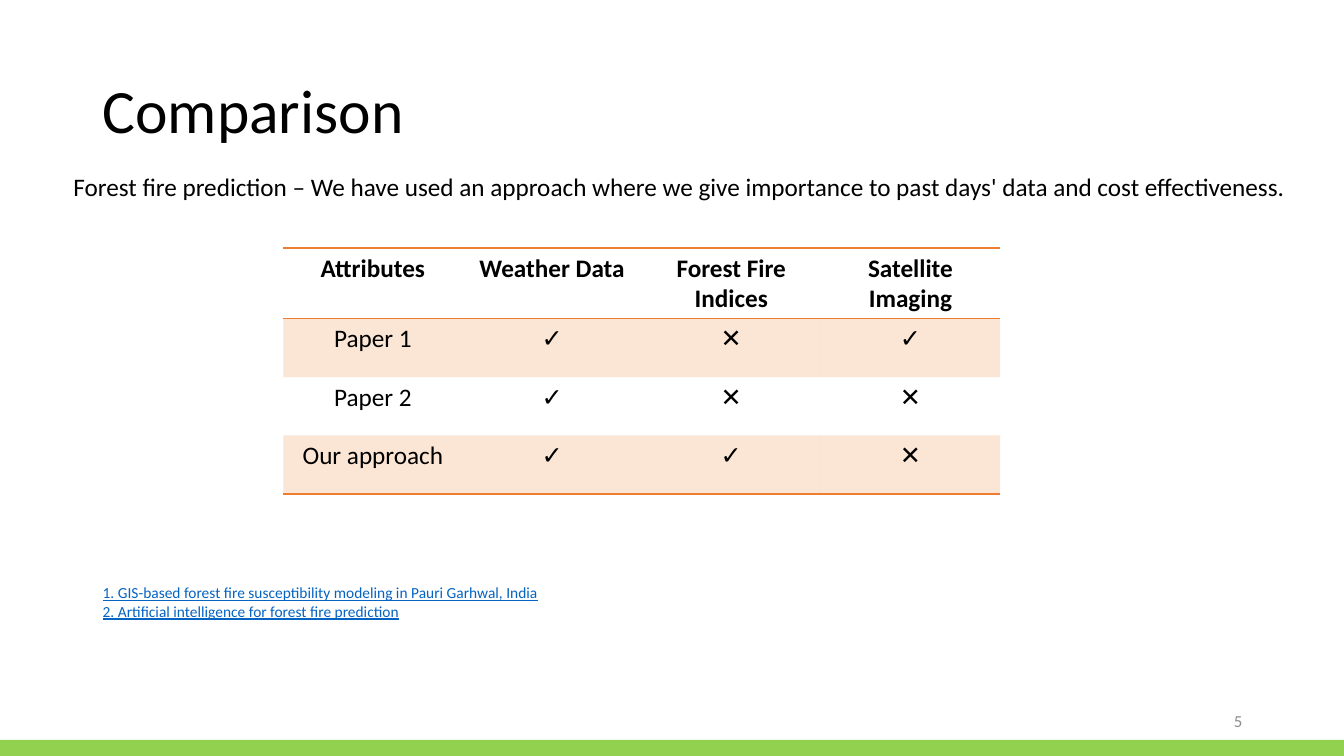
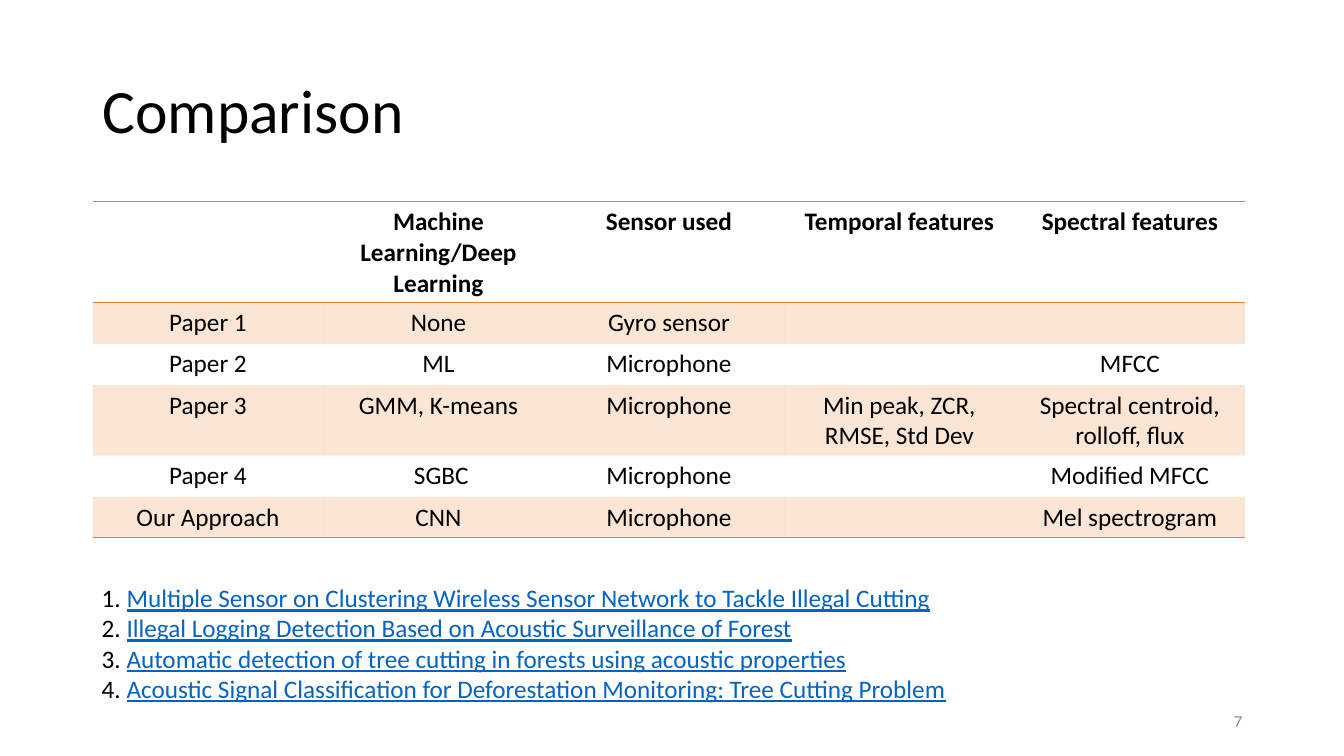
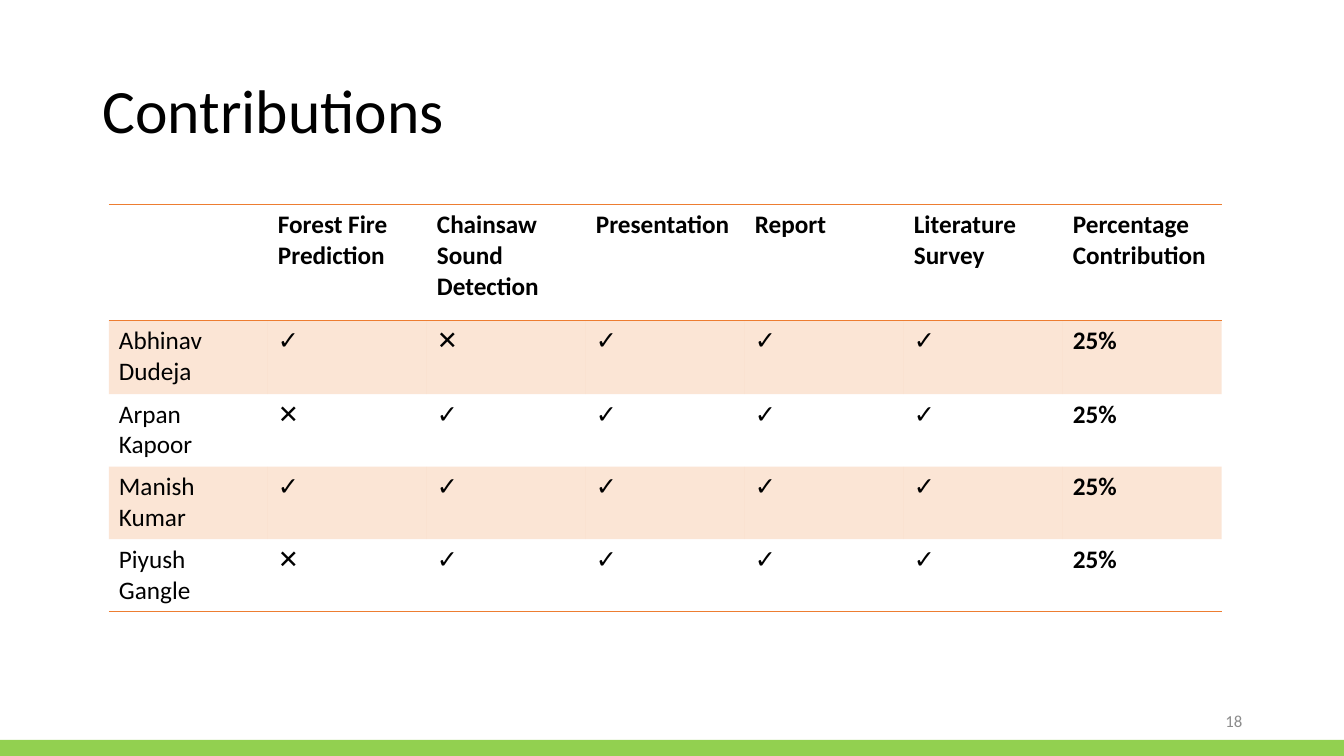
from dataclasses import dataclass

from lxml.etree import SubElement
from pptx import Presentation
from pptx.dml.color import RGBColor
from pptx.enum.shapes import MSO_SHAPE as Shape
from pptx.enum.text import MSO_ANCHOR as Anchor, PP_ALIGN as Align
from pptx.oxml import parse_xml
from pptx.oxml.ns import nsdecls, qn
from pptx.util import Inches, Pt


@dataclass(frozen=True)
class Theme:
    font: str = "Calibri"
    ink: str = "000000"
    link: str = "0563C1"
    muted: str = "8C8C8C"
    accent: str = "ED7D31"
    band: str = "92D050"
    band_opacity: int = 20
    title_size: int = 44
    body_size: int = 18
    source_size: int = 11
    number_size: int = 12
    rule_width: int = 1
    plain_table: str = "{2D5ABB26-0587-4C30-8999-92F81FD0307C}"


WIDTH, HEIGHT = 13.33, 7.5
YES, NO = "✓", "✕"


class Deck:
    def __init__(self, theme):
        self.theme = theme
        self.prs = Presentation()
        self.prs.slide_width = Inches(WIDTH)
        self.prs.slide_height = Inches(HEIGHT)
        self.slide = None

    def start(self, title, number, band=True):
        theme = self.theme
        self.slide = self.prs.slides.add_slide(self.prs.slide_layouts[6])
        heading = self.text([title], 0.92, 0.4, 11.5, 1.45, theme.title_size,
                            anchor=Anchor.MIDDLE)
        heading.paragraphs[0].line_spacing = 0.9
        if band:
            self.band()
        self.text([str(number)], 9.42, 6.95, 3, 0.4, theme.number_size,
                  theme.muted, Align.RIGHT, Anchor.MIDDLE)

    def band(self):
        top = 7.34
        strip = self.slide.shapes.add_shape(
            Shape.RECTANGLE, 0, Inches(top), Inches(WIDTH), Inches(HEIGHT - top))
        strip.shadow.inherit = False
        strip.fill.solid()
        strip.fill.fore_color.rgb = RGBColor.from_string(self.theme.band)
        strip.line.fill.background()

    def style(self, font, size, color, bold=False, underline=False):
        font.name = self.theme.font
        font.size = Pt(size)
        font.bold = bold
        font.underline = underline
        font.color.rgb = RGBColor.from_string(color)

    def text(self, lines, left, top, width, height, size, color=None,
             align=Align.LEFT, anchor=Anchor.TOP, underline=False):
        box = self.slide.shapes.add_textbox(
            Inches(left), Inches(top), Inches(width), Inches(height))
        frame = box.text_frame
        frame.word_wrap = True
        frame.vertical_anchor = anchor
        frame.text = "\n".join(lines)
        for paragraph in frame.paragraphs:
            paragraph.alignment = align
            self.style(paragraph.font, size, color or self.theme.ink,
                       underline=underline)
        return frame

    def references(self, titles, left, top, width, height):
        theme = self.theme
        frame = self.text([f"{n}. " for n in range(1, len(titles) + 1)],
                          left, top, width, height, theme.body_size)
        for paragraph, title in zip(frame.paragraphs, titles):
            reference = paragraph.add_run()
            reference.text = title
            self.style(reference.font, theme.body_size, theme.link, underline=True)

    def table(self, rows, left, top, width, heights,
              align=Align.CENTER, strong=()):
        theme = self.theme
        last = len(rows) - 1
        columns = len(rows[0])
        grid = self.slide.shapes.add_table(
            len(rows), columns, Inches(left), Inches(top),
            Inches(width), Inches(sum(heights))).table
        grid.first_row = grid.horz_banding = False
        grid._tbl.tblPr.find(qn("a:tableStyleId")).text = theme.plain_table
        for column in grid.columns:
            column.width = Inches(width / columns)
        for r, (values, height) in enumerate(zip(rows, heights)):
            grid.rows[r].height = Inches(height)
            for c, value in enumerate(values):
                cell = grid.cell(r, c)
                cell.text = value
                paragraph = cell.text_frame.paragraphs[0]
                paragraph.alignment = align
                self.style(paragraph.font, theme.body_size, theme.ink,
                           bold=r == 0 or value in strong)
                self.shade(cell, r % 2 == 1)
                if r in (0, last):
                    self.rule(cell, "lnB")
                if r == 0:
                    self.rule(cell, "lnT")

    def shade(self, cell, banded):
        if not banded:
            cell.fill.background()
            return
        cell.fill.solid()
        cell.fill.fore_color.rgb = RGBColor.from_string(self.theme.accent)
        tint = cell._tc.tcPr.find(".//" + qn("a:srgbClr"))
        SubElement(tint, qn("a:alpha"), val=str(self.theme.band_opacity * 1000))

    def rule(self, cell, edge):
        theme = self.theme
        cell._tc.tcPr.insert(0, parse_xml(
            f'<a:{edge} {nsdecls("a")} w="{Pt(theme.rule_width)}"><a:solidFill>'
            f'<a:srgbClr val="{theme.accent}"/></a:solidFill></a:{edge}>'))


def fire_comparison(deck):
    theme = deck.theme
    deck.start("Comparison", 5)
    deck.text(["Forest fire prediction – We have used an approach where we give "
               "importance to past days' data and cost effectiveness."],
              0.63, 1.65, 12.4, 0.4, theme.body_size)
    deck.table([
        ["Attributes", "Weather Data", "Forest Fire Indices", "Satellite Imaging"],
        ["Paper 1", YES, NO, YES],
        ["Paper 2", YES, NO, NO],
        ["Our approach", YES, YES, NO],
    ], 2.81, 2.46, 7.11, [0.58] * 4)
    deck.text(["1. GIS-based forest fire susceptibility modeling in Pauri Garhwal, India",
               "2. Artificial intelligence for forest fire prediction"],
              0.92, 5.74, 11.51, 0.96, theme.source_size, theme.link,
              underline=True)


def sound_comparison(deck):
    deck.start("Comparison", 7, band=False)
    deck.table([
        ["", "Machine Learning/Deep Learning", "Sensor used",
         "Temporal features", "Spectral features"],
        ["Paper 1", "None", "Gyro sensor", "", ""],
        ["Paper 2", "ML", "Microphone", "", "MFCC"],
        ["Paper 3", "GMM, K-means", "Microphone",
         "Min peak, ZCR, RMSE, Std Dev", "Spectral centroid, rolloff, flux"],
        ["Paper 4", " SGBC", "Microphone", "", "Modified MFCC"],
        ["Our Approach", "CNN", "Microphone", "", "Mel spectrogram"],
    ], 0.92, 2, 11.43, [0.41] * 5 + [0.4])
    deck.references([
        "Multiple Sensor on Clustering Wireless Sensor Network to Tackle Illegal Cutting",
        "Illegal Logging Detection Based on Acoustic Surveillance of Forest",
        "Automatic detection of tree cutting in forests using acoustic properties",
        "Acoustic Signal Classification for Deforestation Monitoring: Tree Cutting Problem",
    ], 0.91, 5.73, 11.42, 1.31)


def contributions(deck):
    share = "25%"
    members = {
        "Abhinav Dudeja": [YES, NO],
        "Arpan Kapoor": [NO, YES],
        "Manish Kumar": [YES, YES],
        "Piyush Gangle": [NO, YES],
    }
    header = ["", "Forest Fire Prediction", "Chainsaw Sound Detection",
              "Presentation", "Report", "Literature Survey",
              "Percentage Contribution"]
    rows = [[name, *parts, YES, YES, YES, share] for name, parts in members.items()]
    deck.start("Contributions", 18)
    deck.table([header, *rows], 1.08, 2.03, 11.04, [1.15, 0.73] + [0.72] * 3,
               align=Align.LEFT, strong=(YES, share))


def main():
    deck = Deck(Theme())
    fire_comparison(deck)
    sound_comparison(deck)
    contributions(deck)
    deck.prs.save("out.pptx")


if __name__ == "__main__":
    main()
